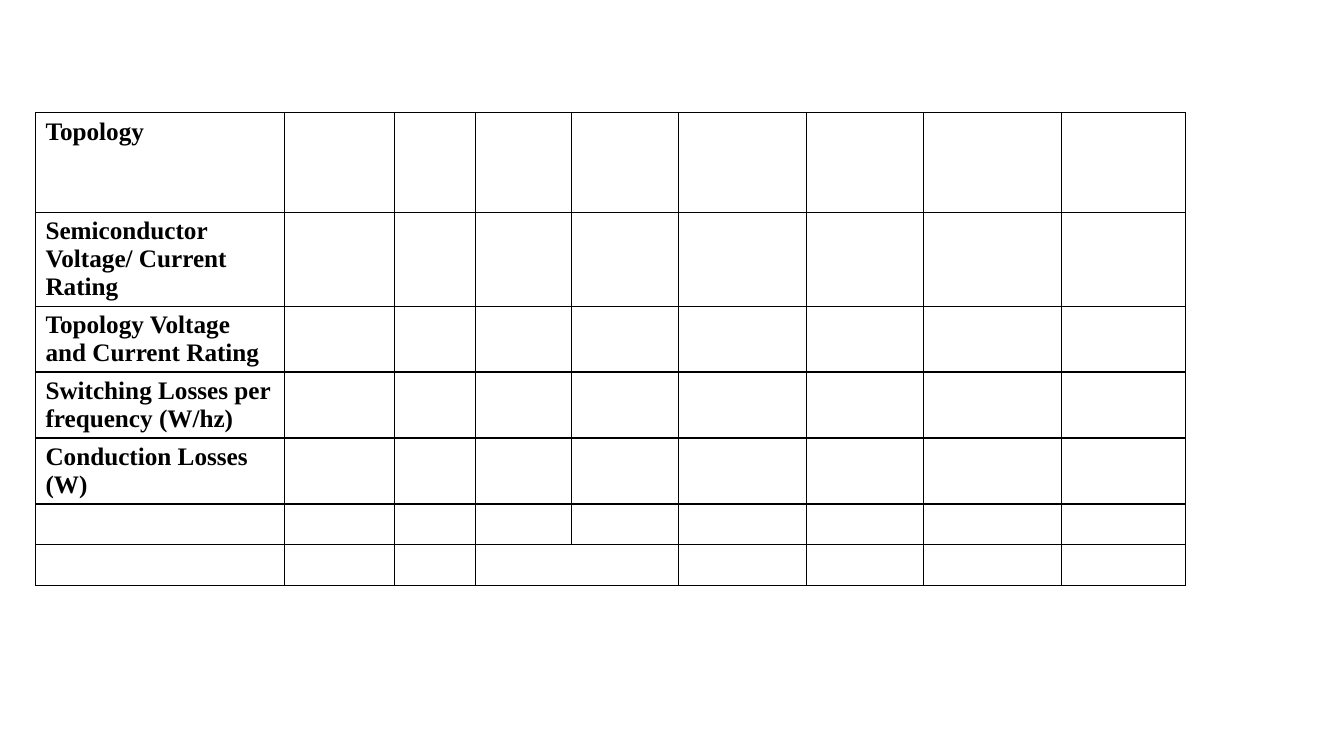
from dataclasses import dataclass

from lxml import etree
from pptx import Presentation
from pptx.dml.color import RGBColor
from pptx.oxml.ns import qn
from pptx.util import Pt

BLANK_LAYOUT = 6
BORDER_TAGS = ("a:lnL", "a:lnR", "a:lnT", "a:lnB")

COLUMN_WIDTHS = (177.8, 79, 57.5, 68.5, 76.4, 91.4, 83.6, 99, 88.6)
ROW_HEIGHTS = (71.3, 67, 47, 47, 47, 29.2, 29.2)
ROW_LABELS = (
    "Topology",
    "Semiconductor Voltage/ Current Rating",
    "Topology Voltage and Current Rating",
    "Switching Losses per frequency (W/hz)",
    "Conduction Losses (W)",
)


@dataclass(frozen=True)
class Theme:
    font: str = "Times New Roman"
    label_size: float = 18
    ink: str = "000000"
    border_width: float = 1


class SlideBuilder:
    def __init__(self, slide, theme):
        self.slide = slide
        self.theme = theme

    def table(self, left, top, column_widths, row_heights):
        """Add an unfilled table with a border round every cell."""
        frame = self.slide.shapes.add_table(
            len(row_heights), len(column_widths), Pt(left), Pt(top),
            Pt(sum(column_widths)), Pt(sum(row_heights)))
        table = frame.table
        table.first_row = False
        table.horz_banding = False
        for column, width in zip(table.columns, column_widths):
            column.width = Pt(width)
        for row, height in zip(table.rows, row_heights):
            row.height = Pt(height)
        for cell in table.iter_cells():
            self.border(cell)
            cell.fill.background()
        return table

    def border(self, cell):
        properties = cell._tc.get_or_add_tcPr()
        for tag in BORDER_TAGS:
            line = etree.SubElement(properties, qn(tag),
                                    w=str(Pt(self.theme.border_width)))
            fill = etree.SubElement(line, qn("a:solidFill"))
            etree.SubElement(fill, qn("a:srgbClr"), val=self.theme.ink)

    def label(self, cell, text):
        cell.text = text
        font = cell.text_frame.paragraphs[0].font
        font.name = self.theme.font
        font.size = Pt(self.theme.label_size)
        font.bold = True
        font.color.rgb = RGBColor.from_string(self.theme.ink)


def main():
    presentation = Presentation()
    presentation.slide_width = Pt(960)
    presentation.slide_height = Pt(540)
    slide = presentation.slides.add_slide(presentation.slide_layouts[BLANK_LAYOUT])
    builder = SlideBuilder(slide, Theme())

    comparison = builder.table(25.3, 80.4, COLUMN_WIDTHS, ROW_HEIGHTS)
    for row, text in enumerate(ROW_LABELS):
        builder.label(comparison.cell(row, 0), text)
    last_row = len(ROW_HEIGHTS) - 1
    comparison.cell(last_row, 3).merge(comparison.cell(last_row, 4))

    presentation.save("out.pptx")


if __name__ == "__main__":
    main()
